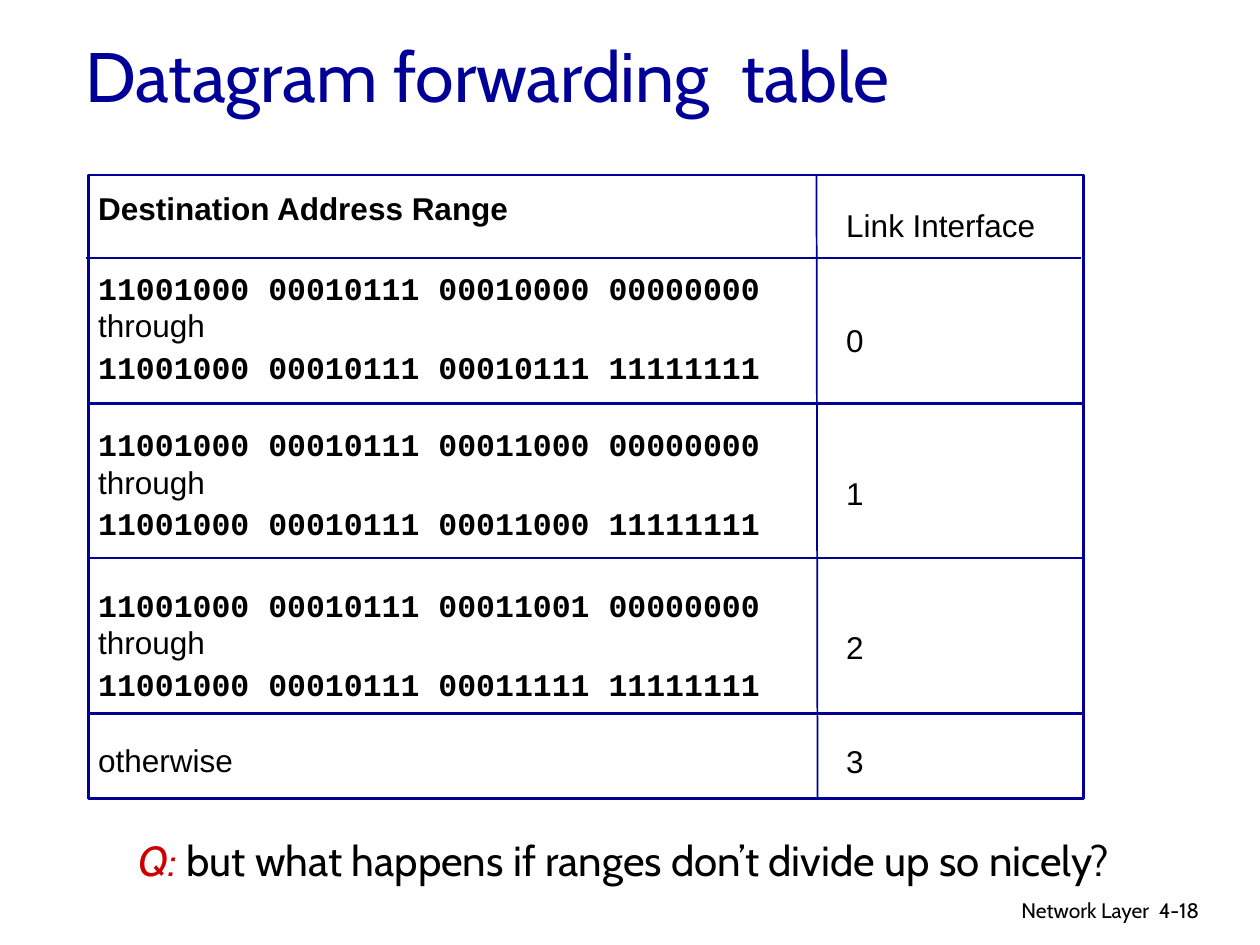
import pptx
import pptx.util
import pptx.dml.color
import pptx.enum.shapes
import pptx.enum.text
import pptx.oxml.ns
import lxml.etree
from dataclasses import dataclass
from pptx.util import Cm, Pt

RGB = pptx.dml.color.RGBColor.from_string
ALIGN = pptx.enum.text.PP_ALIGN
ANCHOR = pptx.enum.text.MSO_ANCHOR


@dataclass(frozen=True)
class Theme:
    blue: str = "000099"
    red: str = "CC0000"
    black: str = "000000"
    display: str = "Cabin"
    plain: str = "Arial"
    code: str = "Courier New"
    title_size: int = 40
    question_size: int = 24
    table_size: int = 18
    footer_size: int = 12
    rule_line: float = 1.5
    divider_line: float = 1


THEME = Theme()

# First address, last address and the space above the range in points
RANGES = [
    ("11001000 00010111 00010000 00000000", "11001000 00010111 00010111 11111111", 24),
    ("11001000 00010111 00011000 00000000", "11001000 00010111 00011000 11111111", 22.5),
    ("11001000 00010111 00011001 00000000", "11001000 00010111 00011111 11111111", 25),
]
# Interface label and the space above it in points
LINKS = [("Link Interface", 0), ("0", 44), ("1", 66), ("2", 66), ("3", 44)]
# Left end and height of each row rule
ROW_RULES = [(1.73, 5.2), (1.8, 8.13), (1.8, 11.25), (1.78, 14.38)]
FRAME_LEFT, FRAME_TOP, FRAME_WIDTH, FRAME_HEIGHT = 1.78, 3.53, 20.07, 12.57


def set_attributes(target, values):
    for name, value in values.items():
        setattr(target, name, value)


def add_run(paragraph, text, color=THEME.black, **values):
    run = paragraph.add_run()
    run.text = text
    set_attributes(run.font, values)
    run.font.color.rgb = RGB(color)


def add_title(slide, text):
    title = slide.shapes.title
    set_attributes(title, dict(left=Cm(1.47), top=Cm(0.3),
                               width=Cm(17.73), height=Cm(2.39)))
    set_attributes(title.text_frame, dict(
        vertical_anchor=ANCHOR.MIDDLE, word_wrap=True,
        auto_size=pptx.enum.text.MSO_AUTO_SIZE.NONE))
    paragraph = title.text_frame.paragraphs[0]
    paragraph.alignment = ALIGN.LEFT
    add_run(paragraph, text, THEME.blue, name=THEME.display, size=Pt(THEME.title_size))


def add_text_frame(slide, left, top, width, height, **values):
    box = slide.shapes.add_textbox(Cm(left), Cm(top), Cm(width), Cm(height))
    set_attributes(box.text_frame, {"word_wrap": True, **values})
    return box.text_frame


def add_column(frame, lines):
    """Write (text, font, bold, space before) lines, one paragraph each."""
    for index, (text, font, bold, space) in enumerate(lines):
        paragraph = frame.add_paragraph() if index else frame.paragraphs[0]
        if space:
            paragraph.space_before = Pt(space)
        add_run(paragraph, text, name=font, bold=bold, size=Pt(THEME.table_size))


def add_rule(slide, start, end, width):
    rule = slide.shapes.add_connector(
        pptx.enum.shapes.MSO_CONNECTOR.STRAIGHT, *map(Cm, start + end))
    rule.line.color.rgb = RGB(THEME.blue)
    rule.line.width = Pt(width)
    lxml.etree.SubElement(rule._element.spPr, pptx.oxml.ns.qn("a:effectLst"))


def add_grid(slide):
    frame = slide.shapes.add_shape(
        pptx.enum.shapes.MSO_SHAPE.RECTANGLE,
        *map(Cm, (FRAME_LEFT, FRAME_TOP, FRAME_WIDTH, FRAME_HEIGHT)))
    frame.shadow.inherit = False
    frame.fill.background()
    frame.line.color.rgb = RGB(THEME.blue)
    frame.line.width = Pt(THEME.rule_line)
    for left, height in ROW_RULES:
        add_rule(slide, (left, height), (left + FRAME_WIDTH, height), THEME.rule_line)
    add_rule(slide, (16.46, FRAME_TOP), (16.48, FRAME_TOP + FRAME_HEIGHT),
             THEME.divider_line)


def add_forwarding_columns(slide):
    addresses = [("Destination Address Range", THEME.plain, True, 0)]
    for first, last, space in RANGES:
        addresses += [(first, THEME.code, True, space),
                      ("through", THEME.plain, False, 0),
                      (last, THEME.code, True, 2)]
    addresses.append(("otherwise", THEME.plain, False, 22))
    add_column(add_text_frame(slide, 1.73, 3.86, 14.6, 11.79,
                              vertical_anchor=ANCHOR.MIDDLE), addresses)

    links = [(label, THEME.plain, False, space) for label, space in LINKS]
    add_column(add_text_frame(slide, 16.81, 3.99, 4.32, 12.45, word_wrap=False,
                              margin_top=Cm(0.17)), links)


def main():
    presentation = pptx.Presentation()
    set_attributes(presentation, dict(slide_width=Cm(25.4), slide_height=Cm(19.05)))
    slide = presentation.slides.add_slide(presentation.slide_layouts[5])

    # Title
    add_title(slide, "Datagram forwarding  table")

    # Footer
    footer_font = dict(name=THEME.display, size=Pt(THEME.footer_size))
    chapter = add_text_frame(slide, 15.37, 17.96, 8.05, 0.79).paragraphs[0]
    chapter.alignment = ALIGN.RIGHT
    add_run(chapter, "Network Layer", **footer_font)
    page = add_text_frame(slide, 23.11, 17.96, 1.88, 0.76).paragraphs[0]
    add_run(page, "4-18", **footer_font)

    # Forwarding entries and their ruled grid
    add_forwarding_columns(slide)
    add_grid(slide)

    # Closing question
    question = add_text_frame(slide, 2.54, 16.69, 22.86, 1.27).paragraphs[0]
    question_font = dict(name=THEME.display, size=Pt(THEME.question_size))
    add_run(question, "Q:", THEME.red, italic=True, **question_font)
    add_run(question, " but what happens if ranges don’t divide up so nicely?",
            **question_font)

    presentation.save("out.pptx")


if __name__ == "__main__":
    main()
